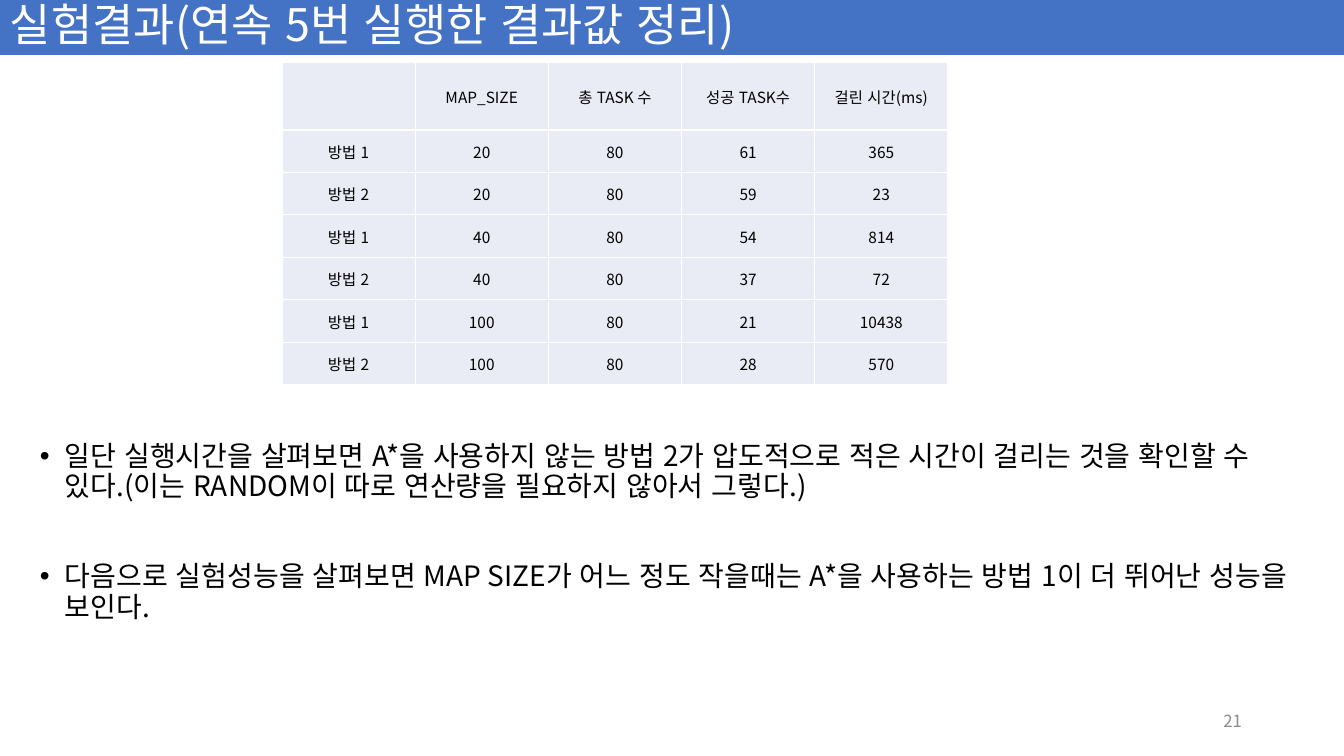
import pptx
import pptx.dml.color
import pptx.enum.lang
import pptx.enum.shapes
import pptx.enum.text
import pptx.oxml.ns
import pptx.util
from lxml import etree

PX = 914400 / 100.8
FONT = "Noto Sans CJK KR"
BLUE, PALE, WHITE, BLACK, GRAY = "4472C4", "E9EBF5", "FFFFFF", "000000", "8C8C8C"
LEFT, CENTER, RIGHT = (getattr(pptx.enum.text.PP_ALIGN, side)
                       for side in ("LEFT", "CENTER", "RIGHT"))
MIDDLE = pptx.enum.text.MSO_ANCHOR.MIDDLE

TITLE = "실험결과(연속 5번 실행한 결과값 정리)"
HEADER = ("", "MAP_SIZE", "총 TASK 수", "성공 TASK수", "걸린 시간(ms)")
RESULTS = [
    ("방법 1", 20, 80, 61, 365),
    ("방법 2", 20, 80, 59, 23),
    ("방법 1", 40, 80, 54, 814),
    ("방법 2", 40, 80, 37, 72),
    ("방법 1", 100, 80, 21, 10438),
    ("방법 2", 100, 80, 28, 570),
]
FINDINGS = [
    "일단 실행시간을 살펴보면 A*을 사용하지 않는 방법 2가 압도적으로 적은 시간이 걸리는 것을 "
    "확인할 수 있다.(이는 RANDOM이 따로 연산량을 필요하지 않아서 그렇다.)",
    "다음으로 실험성능을 살펴보면 MAP SIZE가 어느 정도 작을때는 A*을 사용하는 방법 1이 더 "
    "뛰어난 성능을 보인다.",
]


def px(length):
    return pptx.util.Emu(round(length * PX))


def rgb(value):
    return pptx.dml.color.RGBColor.from_string(value)


def add_xml(parent, tag, **attributes):
    return etree.SubElement(parent, pptx.oxml.ns.qn(tag), attributes)


def write(para, text, size=20, color=BLACK, align=LEFT, line=None, before=0):
    para.alignment = align
    para.space_before = pptx.util.Pt(before)
    if line:
        para.line_spacing = line
    span = para.add_run()
    span.text = text
    span.font.size = pptx.util.Pt(size)
    span.font.name = FONT
    span.font.color.rgb = rgb(color)
    span.font.language_id = pptx.enum.lang.MSO_LANGUAGE_ID.KOREAN
    # Even Hangul spacing: no pair kerning
    span.font._element.set("kern", "0")
    add_xml(span.font._element, "a:ea", typeface=FONT)


def add_bullet(para, indent):
    properties = para._p.get_or_add_pPr()
    properties.set("marL", str(px(indent)))
    properties.set("indent", str(-px(indent)))
    add_xml(properties, "a:buFont", typeface="Arial")
    add_xml(properties, "a:buChar", char="•")


def add_text_box(page, left, top, width, height):
    box = page.shapes.add_textbox(px(left), px(top), px(width), px(height))
    box.text_frame.word_wrap = True
    return box.text_frame


def add_title_bar(page):
    bar = page.shapes.add_shape(pptx.enum.shapes.MSO_SHAPE.RECTANGLE,
                                0, 0, px(1344), px(55))
    bar.shadow.inherit = False
    bar.fill.solid()
    bar.fill.fore_color.rgb = rgb(BLUE)
    bar.line.fill.background()
    bar.text_frame.word_wrap = True
    bar.text_frame.vertical_anchor = MIDDLE
    write(bar.text_frame.paragraphs[0], TITLE, size=32, color=WHITE, line=0.9)


def style_cell(cell):
    cell.vertical_anchor = MIDDLE
    cell.margin_left = cell.margin_right = cell.margin_top = px(1)
    cell.margin_bottom = 0
    properties = cell._tc.get_or_add_tcPr()
    for side in ("a:lnL", "a:lnR", "a:lnT", "a:lnB"):
        border = add_xml(properties, side, w=str(pptx.util.Pt(1)))
        add_xml(add_xml(border, "a:solidFill"), "a:srgbClr", val=WHITE)
    cell.fill.solid()
    cell.fill.fore_color.rgb = rgb(PALE)


def add_results_table(page, left, top, width, height, header_height):
    rows = [HEADER, *RESULTS]
    row_height = (height - header_height) / len(RESULTS)
    table = page.shapes.add_table(len(rows), len(HEADER), px(left), px(top),
                                  px(width), px(height)).table
    for column in table.columns:
        column.width = px(width / len(HEADER))
    for number, values in enumerate(rows):
        table.rows[number].height = px(row_height if number else header_height)
        for position, value in enumerate(values):
            cell = table.cell(number, position)
            style_cell(cell)
            if value != "":
                write(cell.text_frame.paragraphs[0], str(value), size=11, align=CENTER)


def add_findings(page):
    frame = add_text_box(page, 30, 437, 1283, 283)
    for number, finding in enumerate(FINDINGS):
        para = frame.add_paragraph() if number else frame.paragraphs[0]
        write(para, finding, line=0.9, before=43 if number else 0)
        add_bullet(para, 25)


def add_page_number(page):
    frame = add_text_box(page, 950, 701, 302, 40)
    frame.vertical_anchor = MIDDLE
    write(frame.paragraphs[0], "21", size=12, color=GRAY, align=RIGHT)


def main():
    deck = pptx.Presentation()
    deck.slide_width, deck.slide_height = px(1344), px(756)
    page = deck.slides.add_slide(deck.slide_layouts[6])

    # Heading and page number
    add_title_bar(page)
    add_page_number(page)

    # Measured results
    add_results_table(page, left=282, top=62, width=666, height=323, header_height=68)

    # Conclusions
    add_findings(page)

    deck.save("out.pptx")


if __name__ == "__main__":
    main()
